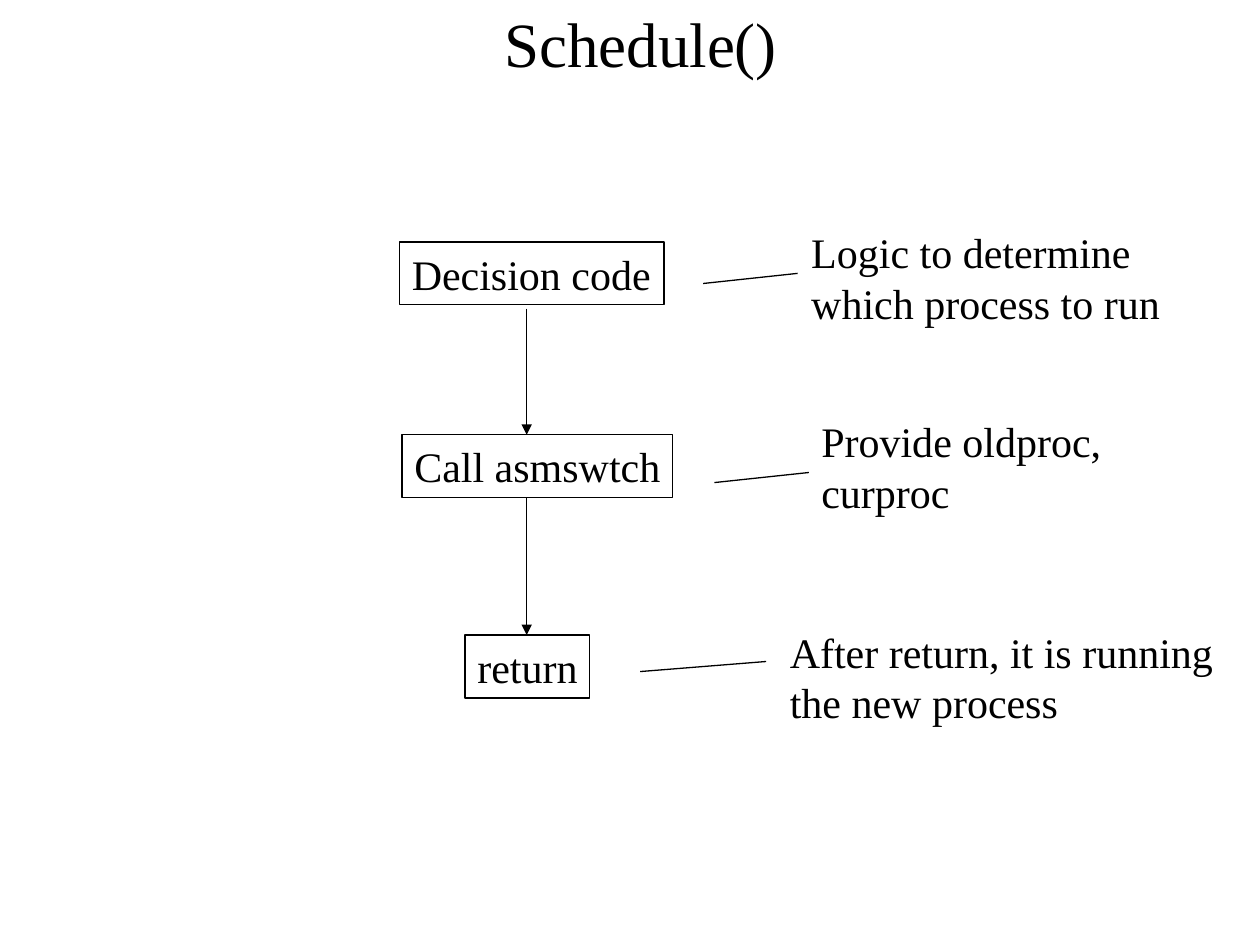
"""Build the Schedule() flow slide: three steps, each with a note."""
from lxml import etree
from pptx import Presentation
from pptx import util as u
from pptx.dml.color import RGBColor
from pptx.enum import shapes, text
from pptx.oxml.ns import qn

INK = "000000"


def write(shape, words, size=24, color=INK, font="Times New Roman",
          align=text.PP_ALIGN.LEFT, anchor=text.MSO_ANCHOR.TOP, wrap=False):
    """Fill a shape with one paragraph per line of words."""
    frame = shape.text_frame
    frame.word_wrap = wrap
    frame.vertical_anchor = anchor
    frame.text = words
    for para in frame.paragraphs:
        para.alignment = align
        face = para.runs[0].font
        face.size = u.Pt(size)
        face.name = font
        face.color.rgb = RGBColor.from_string(color)


def link(x1, y1, x2, y2, arrow=False, color=INK):
    """Draw a thin straight line, with an arrowhead at its end if asked."""
    line = slide.shapes.add_connector(
        shapes.MSO_CONNECTOR.STRAIGHT, *map(u.Inches, (x1, y1, x2, y2)))
    line.line.width = u.Pt(0.75)
    line.line.color.rgb = RGBColor.from_string(color)
    props = line._element.spPr
    if arrow:
        etree.SubElement(props.find(qn("a:ln")), qn("a:tailEnd"), type="triangle")
    etree.SubElement(props, qn("a:effectLst"))


deck = Presentation()
deck.slide_width, deck.slide_height = u.Inches(10), u.Inches(7.5)
slide = deck.slides.add_slide(deck.slide_layouts[6])

title = slide.shapes.add_textbox(*map(u.Inches, (0.42, 0, 9.33, 0.67)))
write(title, "Schedule()", size=36, align=text.PP_ALIGN.CENTER,
      anchor=text.MSO_ANCHOR.MIDDLE, wrap=True)

steps = [
    ("Decision code", 3.17, 1.92, 2.1),
    ("Call asmswtch", 3.19, 3.45, 2.15),
    ("return", 3.69, 5.04, 0.99),
]
for label, left, top, width in steps:
    box = slide.shapes.add_shape(
        shapes.MSO_SHAPE.RECTANGLE, *map(u.Inches, (left, top, width, 0.5)))
    box.shadow.inherit = False
    box.fill.background()
    box.line.width = u.Pt(0.75)
    box.line.color.rgb = RGBColor.from_string(INK)
    write(box, label)

for start, end in [(2.45, 3.45), (3.95, 5.04)]:
    link(4.18, start, 4.18, end, arrow=True)

notes = [
    ("Logic to determine\nwhich process to run", 6.34, 1.75, 2.97, 5.58, 6.33, 2.17),
    ("Provide oldproc,\ncurproc", 6.42, 3.25, 2.5, 5.67, 6.42, 3.75),
    ("After return, it is running\nthe new process", 6.17, 4.92, 3.64, 5.08, 6.08, 5.25),
]
for words, left, top, width, start, end, rise in notes:
    note = slide.shapes.add_textbox(*map(u.Inches, (left, top, width, 0.9)))
    write(note, words)
    link(start, rise + 0.08, end, rise)

deck.save("out.pptx")
